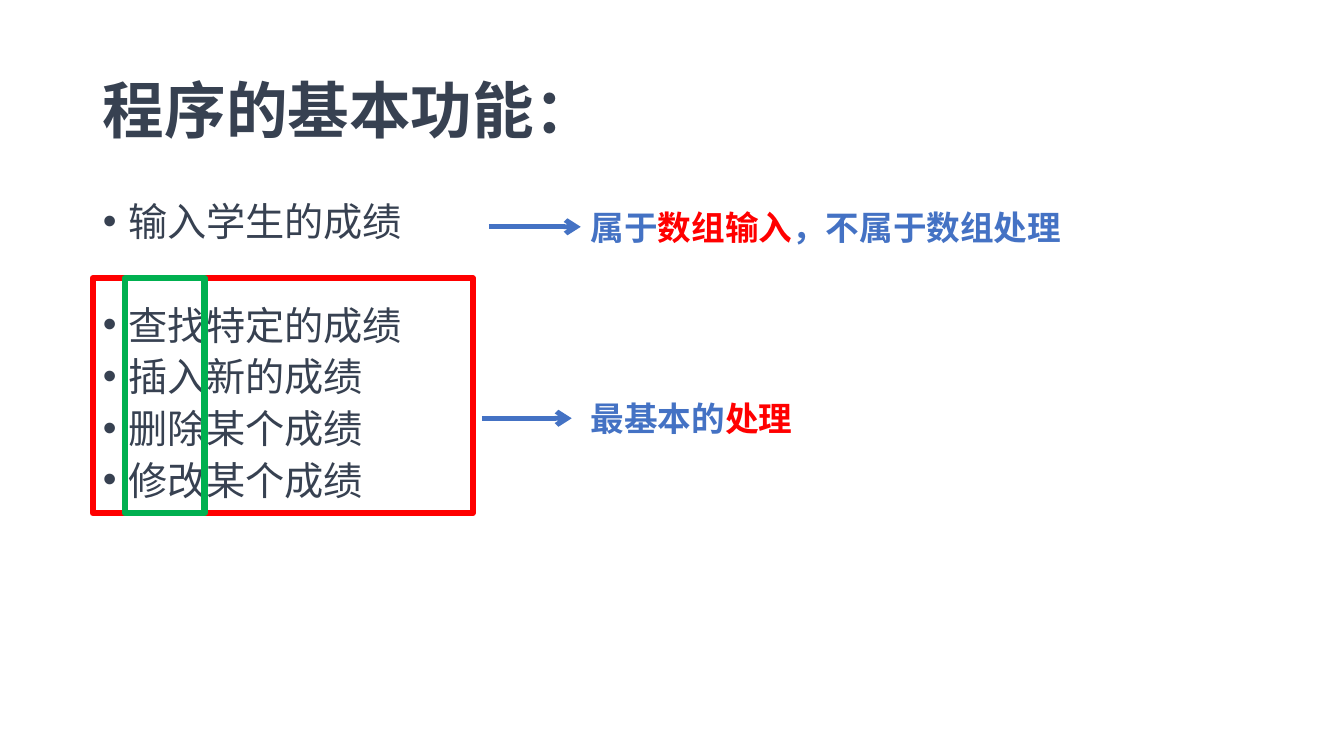
from dataclasses import dataclass

from lxml import etree
from pptx import Presentation, util as u
from pptx.dml.color import RGBColor
from pptx.enum import shapes, text
from pptx.oxml.ns import qn

WIDTH, HEIGHT = 13.33, 7.5
SLATE, BLUE, RED, GREEN = "374151", "4472C4", "FF0000", "00B050"
CJK, LATIN = "Noto Sans CJK SC", "Lato"
TITLE_FORMAT = {"size": u.Pt(44), "bold": True}
BODY_FORMAT = {"size": u.Pt(28), "bold": False}
NOTE_FORMAT = {"size": u.Pt(24), "bold": True}
LINE_GAP, GROUP_GAP = 10, 47


@dataclass
class Box:
    """A place in percent of the slide's width and height."""
    x: float
    y: float
    w: float
    h: float

    def lengths(self) -> tuple:
        return (u.Inches(WIDTH * self.x / 100), u.Inches(HEIGHT * self.y / 100),
                u.Inches(WIDTH * self.w / 100), u.Inches(HEIGHT * self.h / 100))


@dataclass
class Frame:
    box: Box
    color: str


@dataclass
class Note:
    box: Box
    phrases: list


@dataclass
class Arrow:
    x1: float
    x2: float
    y: float


TITLE_BOX = Box(6.9, 5.33, 86.27, 19.33)
BODY_BOX = Box(6.9, 26.67, 86.27, 41.2)
INPUT_ITEMS = ["输入学生的成绩"]
PROCESSING_ITEMS = ["查找特定的成绩", "插入新的成绩", "删除某个成绩", "修改某个成绩"]
INPUT_NOTE = Note(Box(43.21, 26.67, 53.19, 6.67),
                  [("属于", BLUE), ("数组输入", RED), ("，不属于数组处理", BLUE)])
PROCESSING_NOTE = Note(Box(43.21, 52, 16.88, 6.67), [("最基本的", BLUE), ("处理", RED)])
ITEMS_FRAME = Frame(Box(6.9, 36.8, 28.28, 31.07), RED)
VERBS_FRAME = Frame(Box(9.3, 36.8, 5.93, 31.07), GREEN)
ARROWS = [Arrow(36.38, 43.21, 30), Arrow(35.86, 42.54, 55.33)]


def rgb(color: str) -> RGBColor:
    return RGBColor.from_string(color)


def place(sp, box: Box) -> None:
    sp.left, sp.top, sp.width, sp.height = box.lengths()


def add_run(p, words: str, color: str, font: str, formats: dict) -> None:
    r = p.add_run()
    r.text = words
    r.font.name = font
    r.font.color.rgb = rgb(color)
    for name, value in formats.items():
        setattr(r.font, name, value)
    etree.SubElement(r._r.get_or_add_rPr(), qn("a:ea"), typeface=font)


def fill_title(sp) -> None:
    place(sp, TITLE_BOX)
    tf = sp.text_frame
    tf.auto_size = text.MSO_AUTO_SIZE.NONE
    tf.vertical_anchor = text.MSO_ANCHOR.MIDDLE
    p = tf.paragraphs[0]
    p.alignment = text.PP_ALIGN.LEFT
    p.line_spacing = 0.9
    add_run(p, "程序的基本功能：", SLATE, CJK, TITLE_FORMAT)


def fill_body(sp) -> None:
    place(sp, BODY_BOX)
    tf = sp.text_frame
    tf.auto_size = text.MSO_AUTO_SIZE.NONE
    for i, item in enumerate(INPUT_ITEMS + PROCESSING_ITEMS):
        p = tf.add_paragraph() if i else tf.paragraphs[0]
        gap = GROUP_GAP if i == len(INPUT_ITEMS) else LINE_GAP
        p.line_spacing = 0.8
        p.space_before = u.Pt(gap if i else 0)
        pPr = p._p.get_or_add_pPr()
        pPr.set("marL", str(u.Inches(0.25)))
        pPr.set("indent", str(-u.Inches(0.25)))
        etree.SubElement(pPr, qn("a:buFont"), typeface="Arial")
        etree.SubElement(pPr, qn("a:buChar"), char="•")
        add_run(p, item, SLATE, LATIN, BODY_FORMAT)


def add_note(s, note: Note) -> None:
    tf = s.shapes.add_textbox(*note.box.lengths()).text_frame
    tf.word_wrap = True
    tf.auto_size = text.MSO_AUTO_SIZE.SHAPE_TO_FIT_TEXT
    for words, color in note.phrases:
        add_run(tf.paragraphs[0], words, color, CJK, NOTE_FORMAT)


def add_frame(s, frame: Frame) -> None:
    sp = s.shapes.add_shape(shapes.MSO_SHAPE.RECTANGLE, *frame.box.lengths())
    sp.shadow.inherit = False
    sp.fill.background()
    sp.line.color.rgb = rgb(frame.color)
    sp.line.width = u.Pt(4.5)


def add_arrow(s, arrow: Arrow) -> None:
    left, top, length, _ = Box(arrow.x1, arrow.y, arrow.x2 - arrow.x1, 0).lengths()
    connector = s.shapes.add_connector(shapes.MSO_CONNECTOR.STRAIGHT,
                                       left, top, left + length, top)
    connector.line.color.rgb = rgb(BLUE)
    connector.line.width = u.Pt(3.5)
    spPr = connector._element.spPr
    etree.SubElement(spPr.find(qn("a:ln")), qn("a:tailEnd"), type="arrow")
    etree.SubElement(spPr, qn("a:effectLst"))


def main() -> None:
    prs = Presentation()
    prs.slide_width, prs.slide_height = u.Inches(WIDTH), u.Inches(HEIGHT)
    s = prs.slides.add_slide(prs.slide_layouts[1])
    fill_title(s.shapes.title)
    fill_body(s.placeholders[1])
    for note, frame in ((INPUT_NOTE, ITEMS_FRAME), (PROCESSING_NOTE, VERBS_FRAME)):
        add_note(s, note)
        add_frame(s, frame)
    for arrow in ARROWS:
        add_arrow(s, arrow)
    prs.save("out.pptx")


if __name__ == "__main__":
    main()
